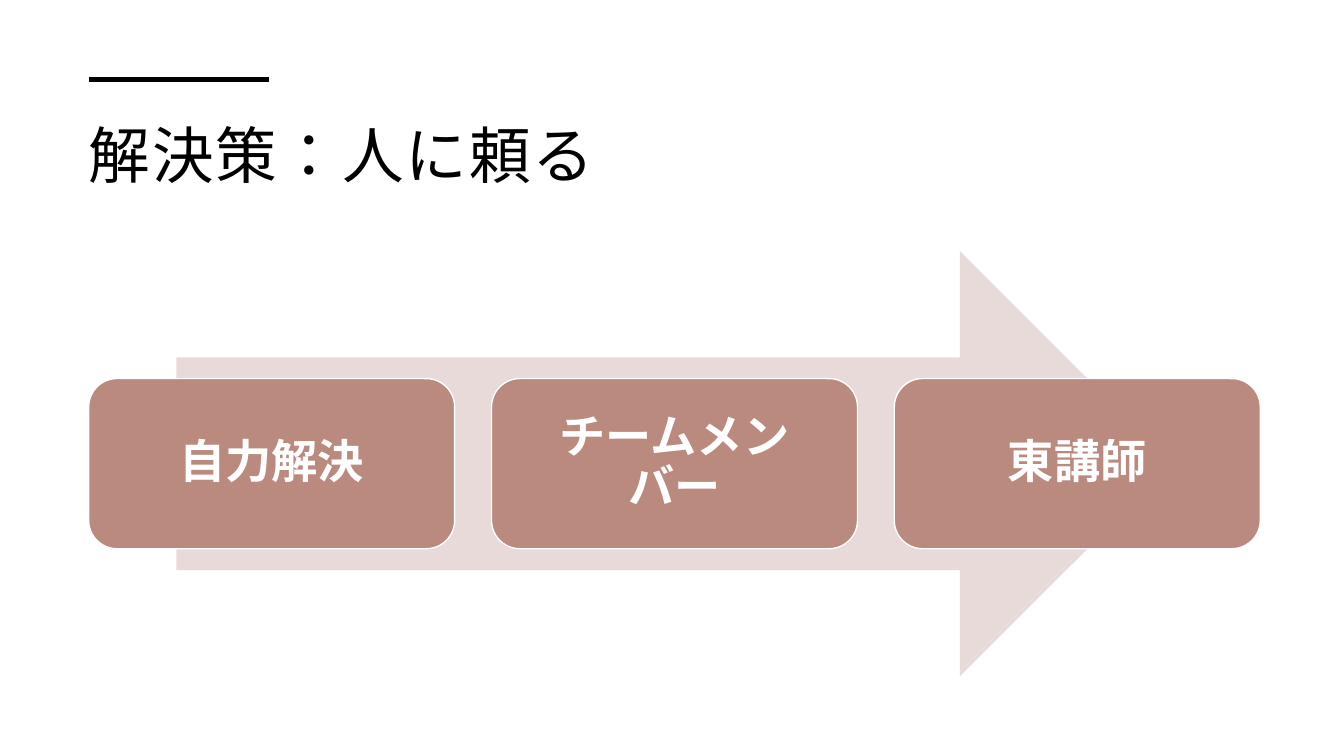
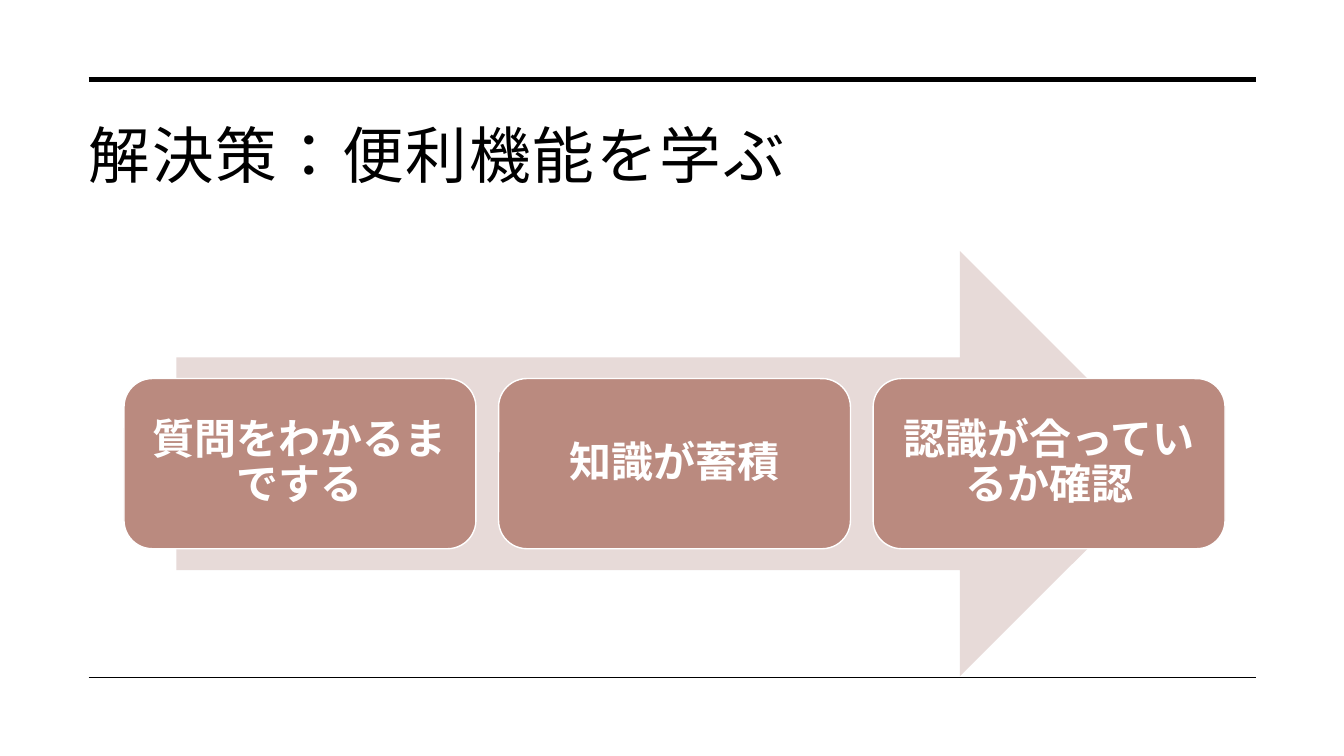
from lxml.etree import SubElement
from pptx import Presentation
from pptx.dml.color import RGBColor
from pptx.enum.lang import MSO_LANGUAGE_ID
from pptx.enum.shapes import MSO_CONNECTOR, MSO_SHAPE
from pptx.enum.text import MSO_ANCHOR, PP_ALIGN
from pptx.oxml.ns import qn
from pptx.util import Pt

EMU_PER_PX = 9144
FONT = "Noto Sans CJK JP"
BLACK, WHITE = "000000", "FFFFFF"
ROSE, PALE_ROSE = "BA8A7F", "E7DAD8"
MARGIN_LEFT, MARGIN_RIGHT = 88, 1246
TOP_RULE, BOTTOM_RULE = 79, 672
TITLE_BOX = (76, 97, 1181, 115)
PROCESS_BOX = (175, 249, 988, 422)


def px(length):
    return round(length * EMU_PER_PX)


def color(hex_text):
    return RGBColor.from_string(hex_text)


def place(box):
    return [px(length) for length in box]


def set_insets(frame, left, top, right, bottom):
    frame.margin_left, frame.margin_top = px(left), px(top)
    frame.margin_right, frame.margin_bottom = px(right), px(bottom)
    frame.word_wrap = True


def add_span(para, text, size, hex_text, bold=False, spacing=0):
    span = para.add_run()
    span.text = text
    span.font.size = Pt(size)
    span.font.bold = bold
    span.font.color.rgb = color(hex_text)
    span.font.name = FONT
    span.font.language_id = MSO_LANGUAGE_ID.JAPANESE
    properties = span._r.get_or_add_rPr()
    SubElement(properties, qn("a:ea")).set("typeface", FONT)
    if spacing:
        properties.set("spc", str(spacing))


def add_rule(page, top, right, width):
    rule = page.shapes.add_connector(
        MSO_CONNECTOR.STRAIGHT, px(MARGIN_LEFT), px(top), px(right), px(top))
    rule.line.color.rgb = color(BLACK)
    rule.line.width = Pt(width)
    SubElement(rule._element.spPr, qn("a:effectLst"))


def add_title(page, box, text):
    frame = page.shapes.add_textbox(*place(box)).text_frame
    set_insets(frame, 12, 12, 12, 10)
    para = frame.paragraphs[0]
    para.line_spacing = 1.1
    add_span(para, text, 44, BLACK, spacing=130)


def add_filled(page, kind, box, fill):
    shape = page.shapes.add_shape(kind, *place(box))
    shape.shadow.inherit = False
    shape.fill.solid()
    shape.fill.fore_color.rgb = color(fill)
    shape.line.fill.background()
    return shape


def add_step(page, box, text, size, inset):
    step = add_filled(page, MSO_SHAPE.ROUNDED_RECTANGLE, box, ROSE)
    step.line.color.rgb = color(WHITE)
    step.line.width = Pt(1)
    frame = step.text_frame
    set_insets(frame, inset, inset, inset, inset)
    frame.vertical_anchor = MSO_ANCHOR.MIDDLE
    para = frame.paragraphs[0]
    para.alignment = PP_ALIGN.CENTER
    para.line_spacing = 0.9
    add_span(para, text, size, WHITE, bold=True)


def add_process(page, box, labels, step_width, row_width, size, inset):
    left, top, width, height = box
    add_filled(page, MSO_SHAPE.RIGHT_ARROW, box, PALE_ROSE)
    step_height = height * 0.4
    step_top = top + (height - step_height) / 2
    row_left = left + (width - row_width) / 2
    pitch = (row_width - step_width) / (len(labels) - 1)
    for index, label in enumerate(labels):
        step_box = (row_left + index * pitch, step_top, step_width, step_height)
        add_step(page, step_box, label, size, inset)


def add_page(deck, title, rules, **process):
    page = deck.slides.add_slide(deck.slide_layouts[6])
    for rule in rules:
        add_rule(page, *rule)
    add_title(page, TITLE_BOX, title)
    add_process(page, PROCESS_BOX, **process)


def main():
    deck = Presentation()
    deck.slide_width, deck.slide_height = px(1333), px(750)
    add_page(
        deck, "解決策：人に頼る", [(TOP_RULE, 267, 3.5)],
        labels=["自力解決", "チームメンバー", "東講師"],
        step_width=363, row_width=1162, size=33, inset=14)
    add_page(
        deck, "解決策：便利機能を学ぶ",
        [(TOP_RULE, MARGIN_RIGHT, 3.5), (BOTTOM_RULE, MARGIN_RIGHT, 1)],
        labels=["質問をわかるまでする", "知識が蓄積", "認識が合っているか確認"],
        step_width=349, row_width=1092, size=30, inset=12)
    deck.save("out.pptx")


if __name__ == "__main__":
    main()
